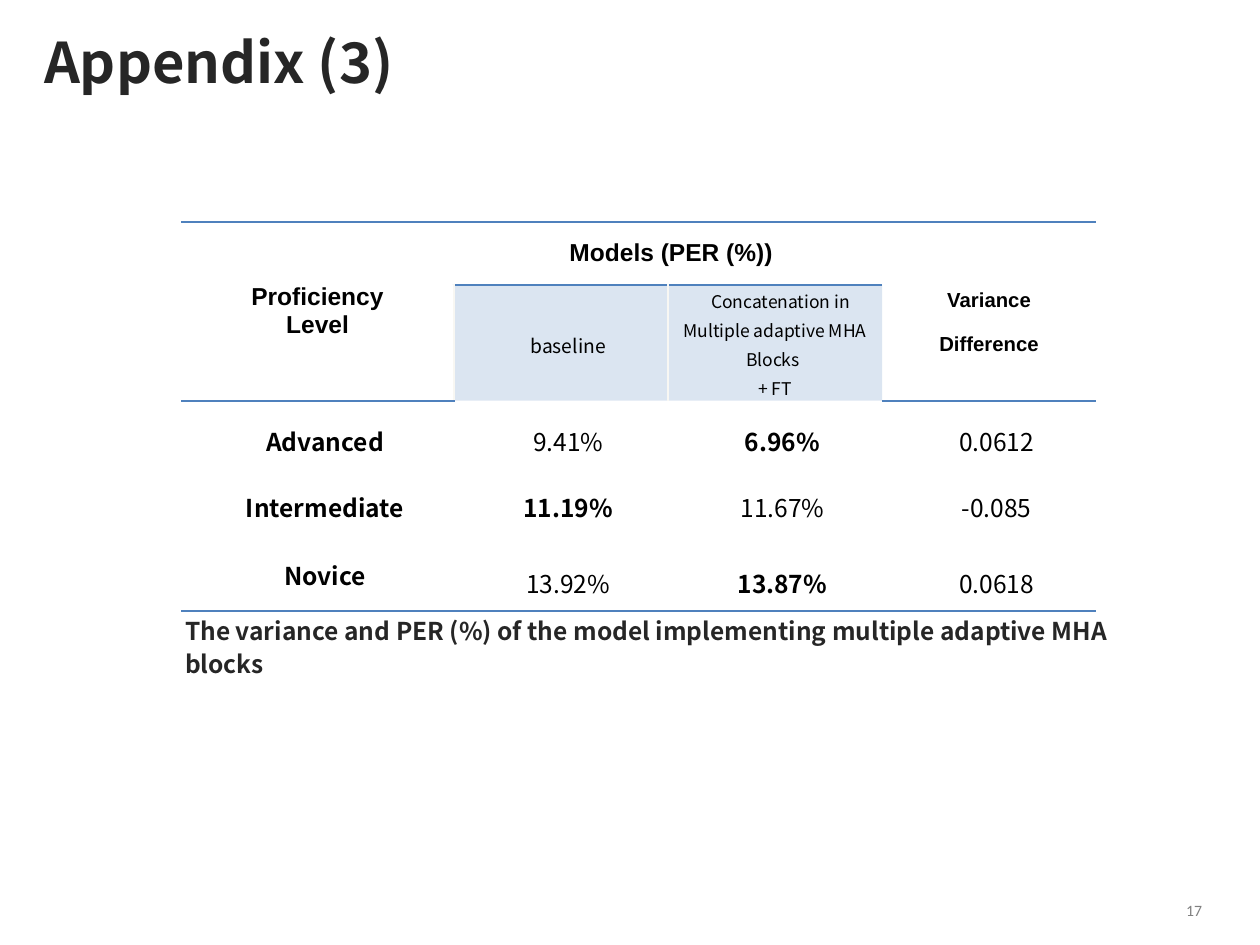
from dataclasses import dataclass

from lxml import etree
from pptx import Presentation
from pptx import util as u
from pptx.dml.color import RGBColor
from pptx.enum import text as t
from pptx.oxml.ns import qn


@dataclass(frozen=True)
class Theme:
    body: str = "Noto Sans CJK KR"
    header: str = "Arial"
    number: str = "Calibri"
    dark: str = "262626"
    black: str = "000000"
    gray: str = "808080"
    blue: str = "4F81BD"
    cream: str = "F8F7F3"
    title_size: int = 32
    subscript_size: int = 20
    text_size: int = 14
    model_size: int = 11
    small_size: int = 10
    number_size: int = 9
    rule_width: float = 1.25


THEME = Theme()
CENTER = t.PP_ALIGN.CENTER
PLAIN_TABLE = "{2D5ABB26-0587-4C30-8999-92F81FD0307C}"
RESULTS = [
    ("Advanced", "9.41%", "6.96%", "0.0612"),
    ("Intermediate", "11.19%", "11.67%", "-0.085"),
    ("Novice", "13.92%", "13.87%", "0.0618"),
]
BEST = {"6.96%", "11.19%", "13.87%"}


def write(tf, *paragraphs, size=THEME.text_size, font=THEME.body, color=THEME.black,
          bold=False, align=None, spacing=None, before=None, left=0, indent=0,
          baseline=None, anchor=None, insets=None):
    """Fill a text frame or cell; a newline inside a paragraph is a line break."""
    frame = getattr(tf, "text_frame", tf)
    frame.word_wrap = True
    if anchor is not None:
        tf.vertical_anchor = anchor
    if insets:
        tf.margin_left, tf.margin_top, tf.margin_right, tf.margin_bottom = map(u.Inches, insets)
    for i, content in enumerate(paragraphs):
        p = frame.paragraphs[0] if i == 0 else frame.add_paragraph()
        p.alignment, p.line_spacing = align, spacing
        if before:
            p.space_before = u.Pt(before)
        pPr = p._p.get_or_add_pPr()
        pPr.set("marL", str(u.Inches(left)))
        pPr.set("indent", str(u.Inches(indent)))
        for j, line in enumerate(content.split("\n")):
            if j:
                p.add_line_break()
            r = p.add_run()
            r.text = line
            r.font.name, r.font.size, r.font.bold = font, u.Pt(size), bold
            r.font.color.rgb = RGBColor.from_string(color)
            if baseline:
                r._r.get_or_add_rPr().set("baseline", str(baseline * 1000))


def add_text(s, box, *paragraphs, **style):
    tb = s.shapes.add_textbox(*map(u.Inches, box))
    write(tb.text_frame, *paragraphs, **style)


def style_cell(cell, borders=None, tinted=False):
    """Set borders given as {side: colour}, and a clear or light blue fill."""
    tcPr = cell._tc.get_or_add_tcPr()
    for side, color in (borders or {}).items():
        ln = etree.SubElement(tcPr, qn(f"a:ln{side}"), w=str(u.Pt(THEME.rule_width)))
        fill = etree.SubElement(ln, qn("a:solidFill"))
        etree.SubElement(fill, qn("a:srgbClr"), val=color)
    if tinted:
        cell.fill.solid()
        cell.fill.fore_color.rgb = RGBColor.from_string(THEME.blue)
        color = tcPr.find(qn("a:solidFill")).find(qn("a:srgbClr"))
        etree.SubElement(color, qn("a:alpha"), val="20000")
    else:
        cell.fill.background()


def add_header(table):
    rules = {"T": THEME.blue, "B": THEME.blue}
    style = dict(font=THEME.header, bold=True, align=CENTER, anchor=t.MSO_ANCHOR.MIDDLE)
    for start, end in (((0, 0), (1, 0)), ((0, 1), (0, 2)), ((0, 3), (1, 3))):
        table.cell(*start).merge(table.cell(*end))
        style_cell(table.cell(*start), rules)
    write(table.cell(0, 0), "Proficiency", "Level", **style)
    write(table.cell(0, 1), " Models (PER (%))", **style)
    write(table.cell(0, 3), "Variance", "Difference",
          size=THEME.subscript_size, baseline=-25, **style)


def write_body(cell, content, spacing=1.6, **style):
    write(cell, content, spacing=spacing, before=6, indent=0.12, align=CENTER,
          anchor=t.MSO_ANCHOR.MIDDLE, insets=(0.07, 0, 0.07, 0), **style)


def add_results_table(s):
    widths, heights = (2.16, 1.7, 1.7, 1.7), (0.5, 0.77, 0.46, 0.59, 0.62)
    box = (1.44, 1.76, sum(widths), sum(heights))
    frame = s.shapes.add_table(len(heights), len(widths), *map(u.Inches, box))
    table = frame.table
    table.first_row = table.horz_banding = False
    table._tbl.tblPr.find(qn("a:tableStyleId")).text = PLAIN_TABLE
    for column, width in zip(table.columns, widths):
        column.width = u.Inches(width)
    for row, height in zip(table.rows, heights):
        row.height = u.Inches(height)

    add_header(table)
    baseline, adaptive = table.cell(1, 1), table.cell(1, 2)
    style_cell(baseline, {"L": THEME.cream}, tinted=True)
    style_cell(adaptive, tinted=True)
    write_body(baseline, "baseline", 1.15, size=THEME.model_size)
    write_body(adaptive, "Concatenation in \nMultiple adaptive MHA Blocks \n+ FT",
               1.15, size=THEME.small_size)

    for i, values in enumerate(RESULTS):
        last = i == len(RESULTS) - 1
        for j, value in enumerate(values):
            cell = table.cell(i + 2, j)
            style_cell(cell, {"B": THEME.blue} if last else None)
            write_body(cell, value, 1.15 if last and j == 0 else 1.6,
                       bold=j == 0 or value in BEST)


def add_title(s, content):
    title = s.shapes.title
    title.left, title.top, title.width, title.height = map(u.Inches, (0, 0, 8.43, 0.91))
    write(title.text_frame, content, size=THEME.title_size, color=THEME.dark, bold=True,
          align=t.PP_ALIGN.LEFT, spacing=1.0, anchor=t.MSO_ANCHOR.TOP,
          insets=(0.35, 0.22, 0.04, 0.05))


def main():
    prs = Presentation()
    prs.slide_width, prs.slide_height = u.Inches(10), u.Inches(7.5)
    s = prs.slides.add_slide(prs.slide_layouts[5])
    add_title(s, "Appendix (3)")
    add_results_table(s)
    add_text(s, (7.31, 7.07, 2.33, 0.31), "17", size=THEME.number_size,
             font=THEME.number, color=THEME.gray, align=t.PP_ALIGN.RIGHT,
             anchor=t.MSO_ANCHOR.MIDDLE)
    add_text(s, (1.2, 4.82, 7.75, 0.39),
             "The variance and PER (%) of the model implementing multiple adaptive MHA blocks",
             color=THEME.dark, bold=True, left=0.17, spacing=1.1)
    prs.save("out.pptx")


if __name__ == "__main__":
    main()
